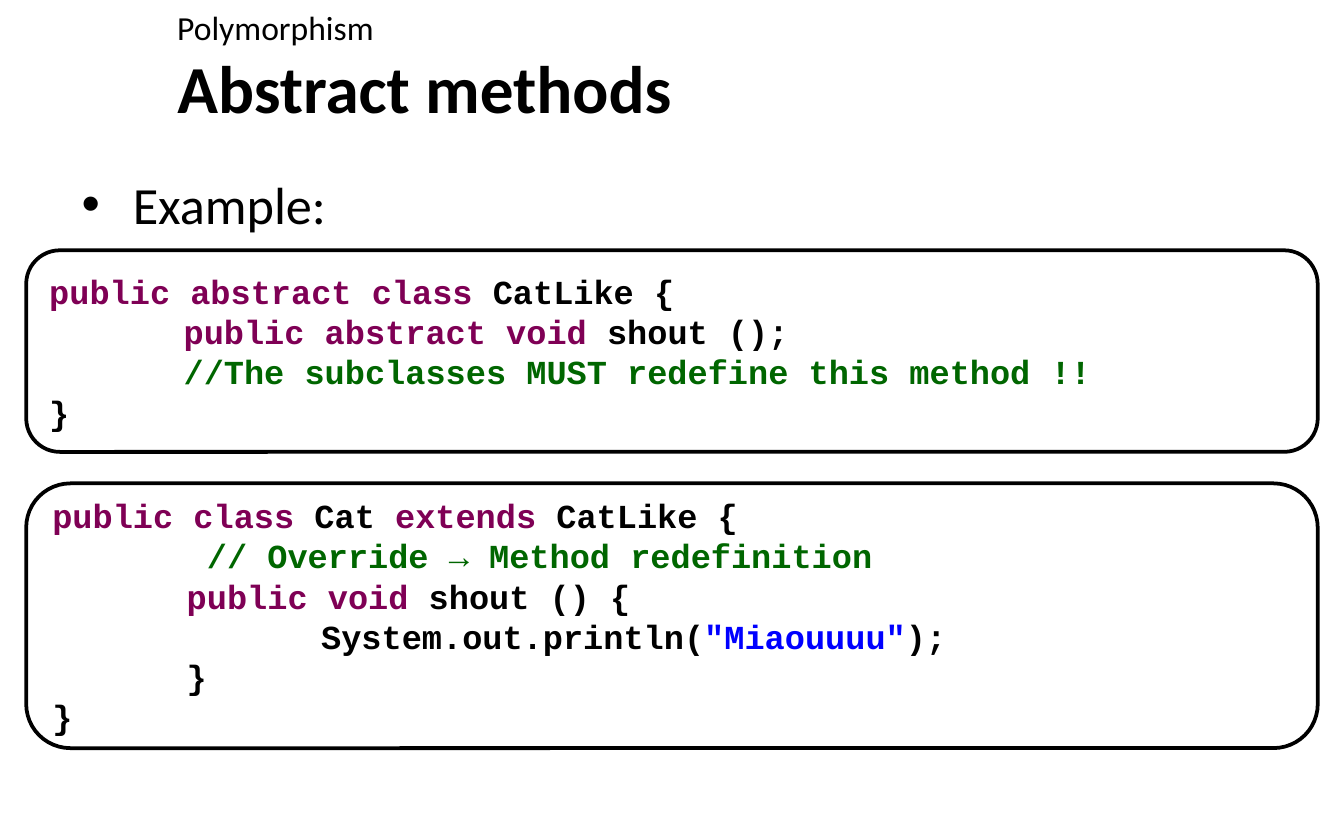
from lxml.etree import SubElement
from pptx import Presentation
from pptx.dml.color import RGBColor
from pptx.enum.shapes import MSO_SHAPE
from pptx.enum.text import MSO_ANCHOR, MSO_AUTO_SIZE, PP_ALIGN
from pptx.oxml.ns import qn
from pptx.util import Inches, Pt

WIDTH, HEIGHT = 10, 6.25
COLUMN, ROW = WIDTH / 100, HEIGHT / 100
BLACK, WHITE = "000000", "FFFFFF"
KEYWORD, COMMENT, STRING = "7F0055", "006600", "0000FF"


def color(hex_code):
    return RGBColor.from_string(hex_code)


class CodeSlide:
    body_font = "Calibri"
    code_font = "Courier New"

    def __init__(self, deck):
        self.slide = deck.slides.add_slide(deck.slide_layouts[5])

    def area(self, left, top, width, height):
        """Turn columns and rows of a 100 by 100 grid into lengths."""
        return (Inches(left * COLUMN), Inches(top * ROW),
                Inches(width * COLUMN), Inches(height * ROW))

    def style(self, run, font, size, hex_code=BLACK, bold=False):
        run.font.name = font
        run.font.size = Pt(size)
        run.font.bold = bold
        run.font.color.rgb = color(hex_code)

    def title(self, wording, area):
        heading = self.slide.shapes.title
        heading.left, heading.top, heading.width, heading.height = self.area(*area)
        frame = heading.text_frame
        frame.text = wording
        frame.auto_size = MSO_AUTO_SIZE.NONE
        frame.vertical_anchor = MSO_ANCHOR.MIDDLE
        frame.paragraphs[0].alignment = PP_ALIGN.LEFT
        self.style(frame.paragraphs[0].runs[0], self.body_font, 36, bold=True)

    def text(self, wording, area, size, bullet=False):
        frame = self.slide.shapes.add_textbox(*self.area(*area)).text_frame
        frame.word_wrap = True
        frame.text = wording
        paragraph = frame.paragraphs[0]
        paragraph.space_before = Pt(size * 0.2)
        self.style(paragraph.runs[0], self.body_font, size)
        if bullet:
            properties = paragraph._p.get_or_add_pPr()
            properties.set("marL", str(Inches(0.38)))
            properties.set("indent", str(-Inches(0.38)))
            SubElement(properties, qn("a:buFont"), typeface="Arial")
            SubElement(properties, qn("a:buChar"), char="•")

    def tab_stops(self, paragraph):
        """Indent code by one inch per level."""
        stops = SubElement(paragraph._p.get_or_add_pPr(), qn("a:tabLst"))
        for level in (1, 2):
            SubElement(stops, qn("a:tab"), pos=str(Inches(level)), algn="l")

    def code(self, lines, area):
        panel = self.slide.shapes.add_shape(
            MSO_SHAPE.ROUNDED_RECTANGLE, *self.area(*area))
        panel.shadow.inherit = False
        panel.fill.solid()
        panel.fill.fore_color.rgb = color(WHITE)
        panel.line.color.rgb = color(BLACK)
        panel.line.width = Pt(2)
        frame = panel.text_frame
        frame.word_wrap = True
        frame.vertical_anchor = MSO_ANCHOR.MIDDLE
        for number, line in enumerate(lines):
            paragraph = frame.add_paragraph() if number else frame.paragraphs[0]
            paragraph.alignment = PP_ALIGN.LEFT
            self.tab_stops(paragraph)
            for wording, hex_code in line:
                run = paragraph.add_run()
                run.text = wording
                self.style(run, self.code_font, 18, hex_code, bold=True)


def main():
    deck = Presentation()
    deck.slide_width, deck.slide_height = Inches(WIDTH), Inches(HEIGHT)
    page = CodeSlide(deck)

    # Heading, example bullet and chapter name
    page.title("Abstract methods", (12.2, 5.92, 85.1, 8.8))
    page.text("Example:", (5.1, 19.68, 90.6, 74.08), 28, bullet=True)
    page.text("Polymorphism", (12.2, 0, 85.1, 5.92), 18)

    # Abstract class
    page.code([
        [("public abstract class ", KEYWORD), ("CatLike {", BLACK)],
        [("\tpublic abstract void ", KEYWORD), ("shout ();", BLACK)],
        [("\t//The subclasses MUST redefine this method !!", COMMENT)],
        [("}", BLACK)],
    ], (1.95, 29.8, 96.1, 24))

    # Subclass that redefines the method
    page.code([
        [("public class ", KEYWORD), ("Cat ", BLACK),
         ("extends ", KEYWORD), ("CatLike {", BLACK)],
        [("\t // Override → Method redefinition", COMMENT)],
        [("\tpublic void ", KEYWORD), ("shout () {", BLACK)],
        [("\t\tSystem.out.println(", BLACK), ('"Miaouuuu"', STRING), (");", BLACK)],
        [("\t}", BLACK)],
        [("}", BLACK)],
    ], (1.95, 57.55, 96.1, 31.52))

    deck.save("out.pptx")


if __name__ == "__main__":
    main()
